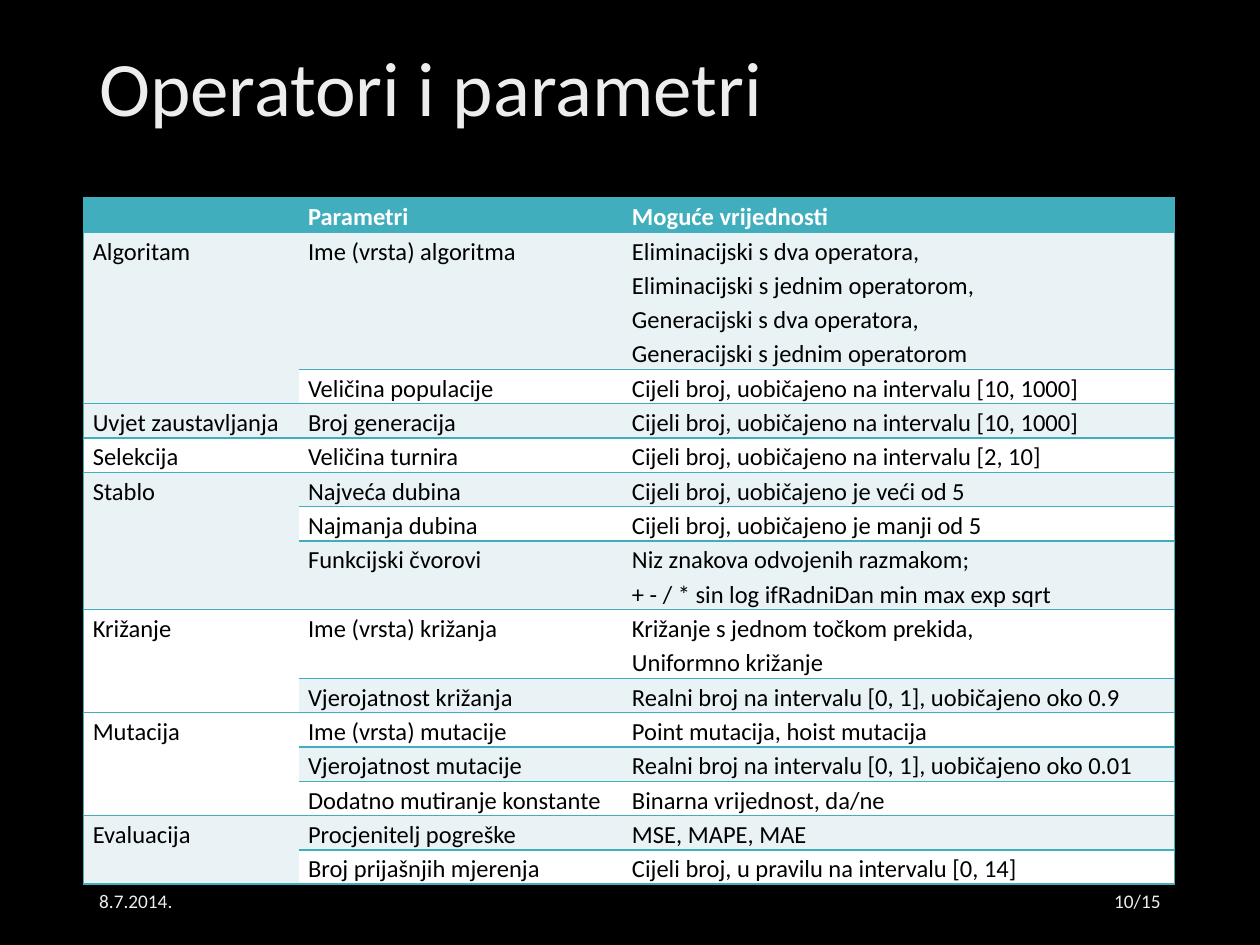
from dataclasses import dataclass

import lxml.etree
import pptx
import pptx.dml.color
import pptx.enum.text
import pptx.oxml.ns
import pptx.util

Cm, Pt = pptx.util.Cm, pptx.util.Pt
ALIGN = pptx.enum.text.PP_ALIGN
COLORS = {"background": "000000", "light": "EDEDED", "teal": "41AEBD",
          "band": "E9F2F4", "white": "FFFFFF", "black": "000000"}
COLUMN_WIDTHS = (4.34, 6.53, 11.13)
LINE_HEIGHT = 0.69
CELL_PARAGRAPH = {"line_spacing": 1.15, "space_before": Pt(6), "space_after": Pt(3)}
CELL_MARGINS = {"margin_left": Cm(0.19), "margin_right": Cm(0.19),
                "margin_top": 0, "margin_bottom": 0}


@dataclass
class Label:
    text: str
    left: float
    top: float
    width: float
    height: float
    size: int
    align: ALIGN = ALIGN.LEFT
    line_spacing: float = 1.0


@dataclass
class Group:
    name: str
    parameters: list[tuple[str, str]]


LABELS = [
    Label("Operatori i parametri", 1.75, 0, 21.89, 3.68, 44, line_spacing=0.9),
    Label("8.7.2014.", 1.75, 17.65, 5.72, 1.02, 11),
    Label("10/15", 17.93, 17.65, 5.72, 1.02, 11, ALIGN.RIGHT),
]

GROUPS = [
    Group("", [("Parametri", "Moguće vrijednosti")]),
    Group("Algoritam", [
        ("Ime (vrsta) algoritma",
         "Eliminacijski s dva operatora,\vEliminacijski s jednim operatorom,\v"
         "Generacijski s dva operatora,\vGeneracijski s jednim operatorom"),
        ("Veličina populacije", "Cijeli broj, uobičajeno na intervalu [10, 1000]")]),
    Group("Uvjet zaustavljanja", [
        ("Broj generacija", "Cijeli broj, uobičajeno na intervalu [10, 1000]")]),
    Group("Selekcija", [
        ("Veličina turnira", "Cijeli broj, uobičajeno na intervalu [2, 10]")]),
    Group("Stablo", [
        ("Najveća dubina", "Cijeli broj, uobičajeno je veći od 5"),
        ("Najmanja dubina", "Cijeli broj, uobičajeno je manji od 5"),
        ("Funkcijski čvorovi",
         "Niz znakova odvojenih razmakom;\v+ - / * sin log ifRadniDan min max exp sqrt")]),
    Group("Križanje", [
        ("Ime (vrsta) križanja", "Križanje s jednom točkom prekida,\vUniformno križanje"),
        ("Vjerojatnost križanja", "Realni broj na intervalu [0, 1], uobičajeno oko 0.9")]),
    Group("Mutacija", [
        ("Ime (vrsta) mutacije", "Point mutacija, hoist mutacija"),
        ("Vjerojatnost mutacije", "Realni broj na intervalu [0, 1], uobičajeno oko 0.01"),
        ("Dodatno mutiranje konstante", "Binarna vrijednost, da/ne")]),
    Group("Evaluacija", [
        ("Procjenitelj pogreške", "MSE, MAPE, MAE"),
        ("Broj prijašnjih mjerenja", "Cijeli broj, u pravilu na intervalu [0, 14]")]),
]


def rgb(name: str) -> pptx.dml.color.RGBColor:
    return pptx.dml.color.RGBColor.from_string(COLORS[name])


def set_all(target, values: dict) -> None:
    for name, value in values.items():
        setattr(target, name, value)


def style_runs(p, size: int, color: str, bold: bool = False) -> None:
    for r in p.runs:
        set_all(r.font, {"name": "Calibri", "size": Pt(size), "bold": bold})
        r.font.color.rgb = rgb(color)


def add_label(slide, label: Label) -> None:
    box = (label.left, label.top, label.width, label.height)
    tf = slide.shapes.add_textbox(*map(Cm, box)).text_frame
    set_all(tf, {"word_wrap": True, "vertical_anchor": pptx.enum.text.MSO_ANCHOR.MIDDLE})
    p = tf.paragraphs[0]
    p.text = label.text
    set_all(p, {"alignment": label.align, "line_spacing": label.line_spacing})
    style_runs(p, label.size, "light")


def add_borders(cell, visible: str) -> None:
    """Draw teal lines on the sides named in visible, and none on the others."""
    qn = pptx.oxml.ns.qn
    tc_pr = cell._tc.get_or_add_tcPr()
    for side in "LRTB":
        ln = lxml.etree.SubElement(tc_pr, qn(f"a:ln{side}"), w=str(Pt(1)))
        if side in visible:
            fill = lxml.etree.SubElement(ln, qn("a:solidFill"))
            lxml.etree.SubElement(fill, qn("a:srgbClr"), val=COLORS["teal"])
        else:
            lxml.etree.SubElement(ln, qn("a:noFill"))


def fill_cell(cell, text: str, row: int, col: int) -> None:
    set_all(cell, CELL_MARGINS)
    add_borders(cell, "TB" + ("L", "", "R")[col])
    cell.fill.solid()
    cell.fill.fore_color.rgb = rgb("teal" if row == 0 else "band" if row % 2 else "white")
    p = cell.text_frame.paragraphs[0]
    set_all(p, CELL_PARAGRAPH)
    if text:
        p.text = text
        style_runs(p, 14, "white" if row == 0 else "black", row == 0)
    else:
        p._p.get_or_add_endParaRPr().set("sz", "1400")


def add_parameter_table(slide) -> None:
    rows = [(group.name if i == 0 else "", *parameter)
            for group in GROUPS for i, parameter in enumerate(group.parameters)]
    heights = [LINE_HEIGHT * (row[2].count("\v") + 1) for row in rows]
    table = slide.shapes.add_table(len(rows), len(COLUMN_WIDTHS), Cm(1.68), Cm(3.99),
                                   Cm(sum(COLUMN_WIDTHS)), Cm(sum(heights))).table
    set_all(table, {"first_row": False, "horz_banding": False})
    for column, width in zip(table.columns, COLUMN_WIDTHS):
        column.width = Cm(width)
    for i, (texts, height) in enumerate(zip(rows, heights)):
        table.rows[i].height = Cm(height)
        for j, text in enumerate(texts):
            fill_cell(table.cell(i, j), text, i, j)
    first = 0
    for group in GROUPS:
        last = first + len(group.parameters) - 1
        if last > first:
            table.cell(first, 0).merge(table.cell(last, 0))
        first = last + 1


def main() -> None:
    prs = pptx.Presentation()
    set_all(prs, {"slide_width": Cm(25.4), "slide_height": Cm(19.05)})
    s = prs.slides.add_slide(prs.slide_layouts[6])
    s.background.fill.solid()
    s.background.fill.fore_color.rgb = rgb("background")
    add_parameter_table(s)
    for label in LABELS:
        add_label(s, label)
    prs.save("out.pptx")


if __name__ == "__main__":
    main()
